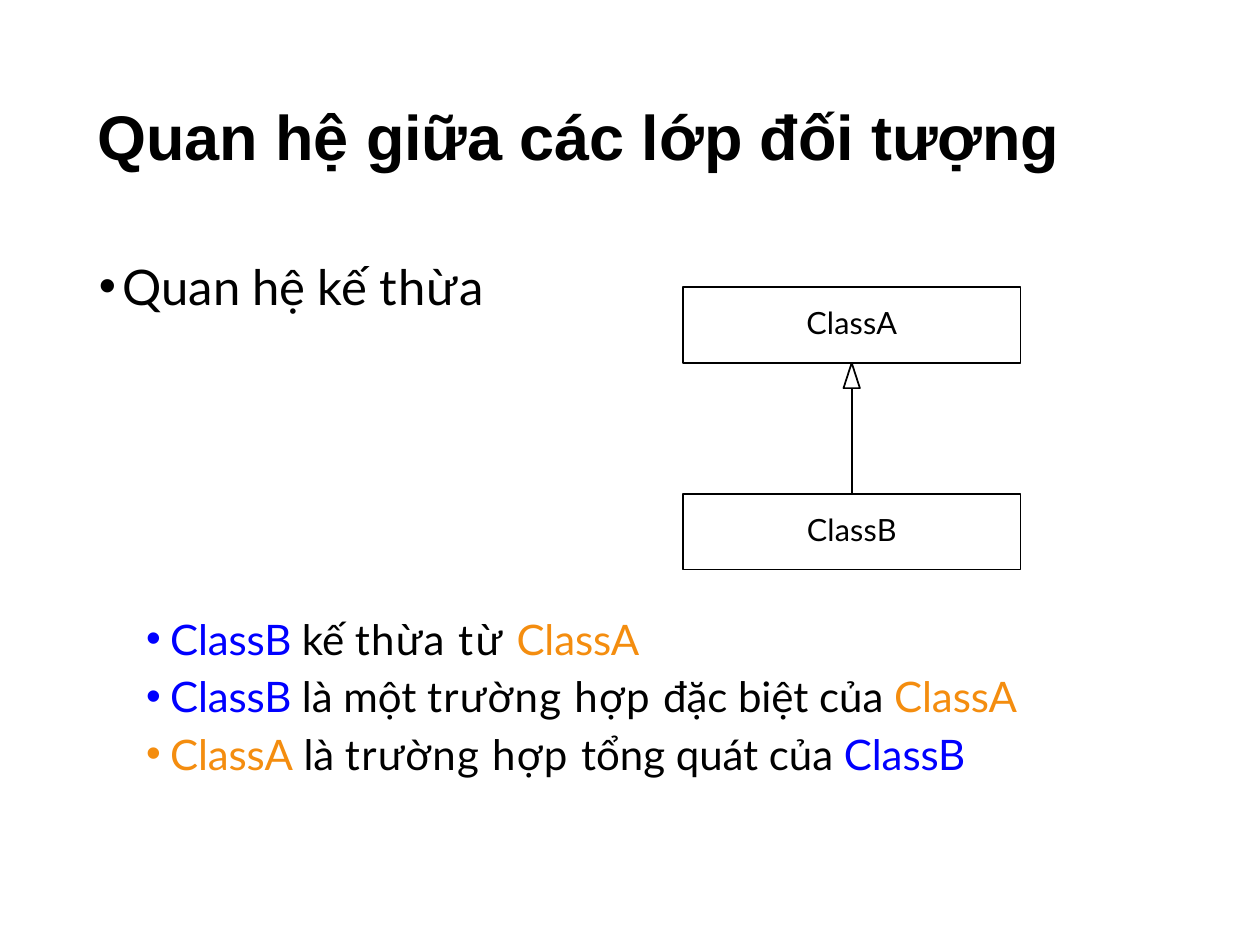
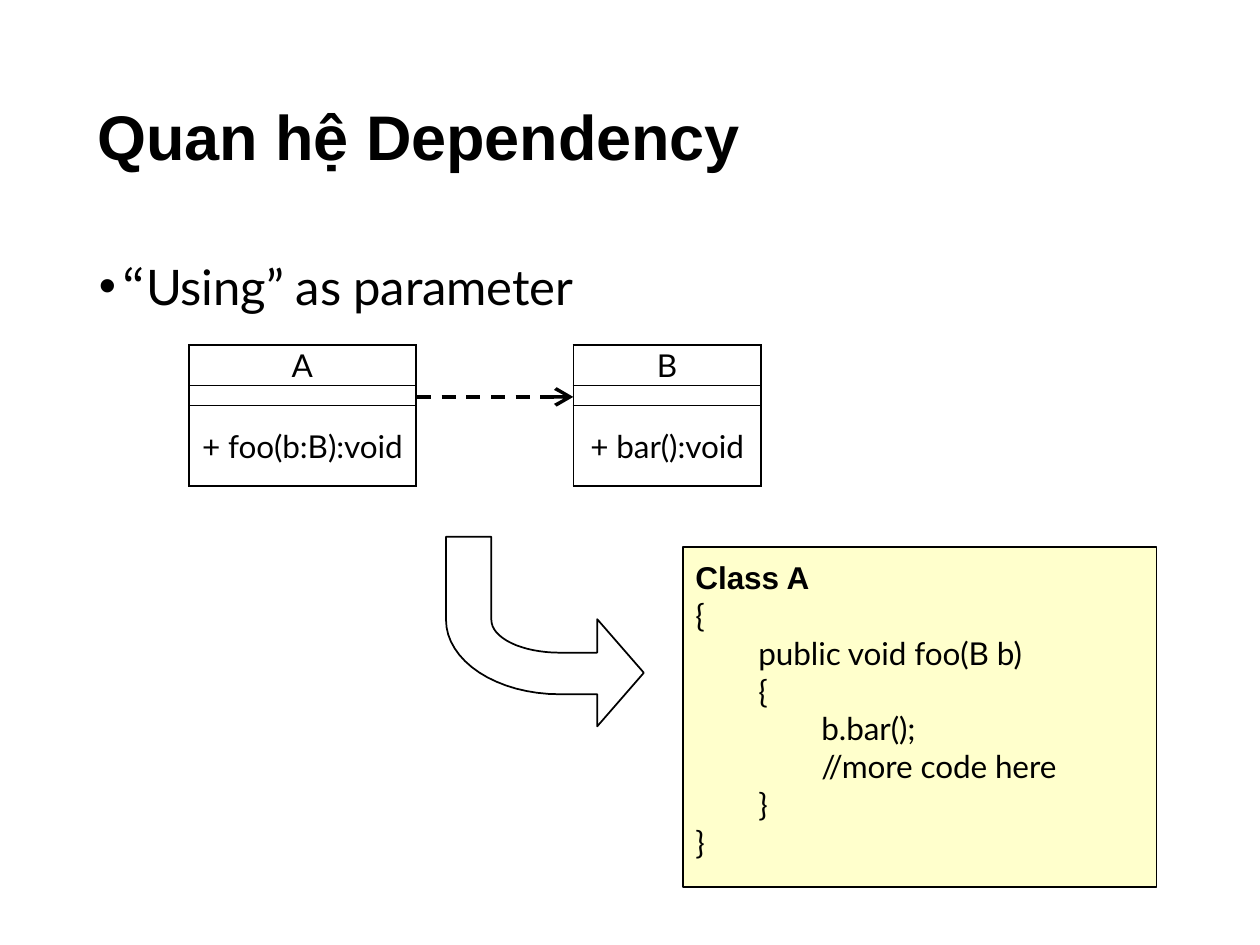
"""Build two slides on class relations: inheritance and dependency."""
from math import cos, pi, sin

from lxml import etree
from pptx import Presentation
from pptx.dml.color import RGBColor
from pptx.enum.dml import MSO_LINE
from pptx.enum.shapes import MSO_CONNECTOR, MSO_SHAPE
from pptx.enum.text import MSO_ANCHOR, MSO_AUTO_SIZE, PP_ALIGN
from pptx.oxml.ns import qn
from pptx.util import Inches, Pt

LEFT, CENTER = PP_ALIGN.LEFT, PP_ALIGN.CENTER
TOP, MIDDLE = MSO_ANCHOR.TOP, MSO_ANCHOR.MIDDLE
RECTANGLE, TRIANGLE = MSO_SHAPE.RECTANGLE, MSO_SHAPE.ISOSCELES_TRIANGLE
STRAIGHT, DASH = MSO_CONNECTOR.STRAIGHT, MSO_LINE.DASH
NO_FIT = MSO_AUTO_SIZE.NONE

COLORS = {"ink": "000000", "child": "0000FF", "parent": "F48D0F", "note": "FFFFCC"}
WIDTH, HEIGHT = Inches(10), Inches(7.5)
MARGIN = 7.75
LINE = Pt(1)


def at(*shares):
    """Turn alternating percentages of slide width and height into lengths."""
    return [int(share * (HEIGHT if place % 2 else WIDTH) / 100)
            for place, share in enumerate(shares)]


def write(frame, spans, size=18, font="Lato", bold=False, align=LEFT, anchor=TOP,
          before=0, indent=0, bullet=False):
    """Add a paragraph of (text, format) spans to a frame."""
    frame.word_wrap = True
    frame.auto_size = NO_FIT
    frame.vertical_anchor = anchor
    frame.margin_left = frame.margin_right = frame.margin_top = frame.margin_bottom = 0
    para = frame.paragraphs[0] if not frame.paragraphs[0].runs else frame.add_paragraph()
    para.alignment = align
    para.space_before = Pt(before)
    properties = para._p.get_or_add_pPr()
    properties.set("marL", str(Inches(0.2 if bullet else indent)))
    properties.set("indent", str(Inches(-0.19 if bullet else 0)))
    if bullet:
        etree.SubElement(properties, qn("a:buFont"), typeface="Arial")
        etree.SubElement(properties, qn("a:buChar"), char="•")
    for text, look in spans:
        span = para.add_run()
        span.text = text
        span.font.size = Pt(size)
        span.font.name = look.get("font", font)
        span.font.bold = bold
        span.font.color.rgb = RGBColor.from_string(COLORS[look.get("color", "ink")])
        span._r.get_or_add_rPr().set("spc", str(look.get("spacing", -5)))


deck = Presentation()
deck.slide_width, deck.slide_height = WIDTH, HEIGHT
outlined, connectors = [], []

WIDE, WIDER = {"spacing": 75}, {"spacing": 140}
EVEN = {"spacing": 0}
CHILD, PARENT = ("ClassB", {"color": "child"}), ("ClassA", {"color": "parent"})

SLIDES = [
    (3, "Quan hệ giữa các lớp đối tượng", 76.9,
     [("Quan hệ kế ", {}), ("thừa", WIDE)], 31.4),
    (1, "Quan hệ Dependency", 51.4,
     [("“", {"font": "Noto Sans CJK JP"}), ("Using” as parameter", {})], 39.4),
]
pages = []
for layout, title, title_width, topic, topic_width in SLIDES:
    page = deck.slides.add_slide(deck.slide_layouts[layout])
    heading, body = page.shapes.title, page.placeholders[1]
    heading.left, heading.top, heading.width, heading.height = at(
        MARGIN, 10.35, title_width, 8.4)
    write(heading.text_frame, [(title, {})], size=36, font="Arial", bold=True, before=1)
    body.left, body.top, body.width, body.height = at(MARGIN, 27.1, topic_width, 6.53)
    write(body.text_frame, topic, size=28, before=1, bullet=True)
    pages.append(page)
inheritance, dependency = pages

facts = inheritance.placeholders[2]
facts.left, facts.top, facts.width, facts.height = at(11.5, 64.9, 71, 18.53)
FACTS = [
    [CHILD, (" kế ", {}), ("thừa ", WIDE), ("từ ", WIDER), PARENT],
    [CHILD, (" là ", {}), ("một ", EVEN), ("trường hợp ", WIDE), ("đặc biệt ", {}),
     ("của ", EVEN), PARENT],
    [PARENT, (" là ", {}), ("trường hợp ", WIDE), ("tổng ", EVEN), ("quát ", {}),
     ("của ", EVEN), CHILD],
]
for fact in FACTS:
    write(facts.text_frame, fact, size=24, before=4, bullet=True)

CLASS_LEFT, CLASS_WIDTH, CLASS_HEIGHT = 54.2, 26.8, 8
PARENT_TOP, CHILD_TOP = 30.4, 52.27
HEAD_WIDTH, HEAD_HEIGHT = 1.3, 2.67
middle = CLASS_LEFT + CLASS_WIDTH / 2
head_top = PARENT_TOP + CLASS_HEIGHT
connectors.append(inheritance.shapes.add_connector(
    STRAIGHT, *at(middle, CHILD_TOP, middle, head_top + HEAD_HEIGHT)))
outlined.append(inheritance.shapes.add_shape(
    TRIANGLE, *at(middle - HEAD_WIDTH / 2, head_top, HEAD_WIDTH, HEAD_HEIGHT)))
for name, top in (("ClassA", PARENT_TOP), ("ClassB", CHILD_TOP)):
    box = inheritance.shapes.add_shape(
        RECTANGLE, *at(CLASS_LEFT, top, CLASS_WIDTH, CLASS_HEIGHT))
    write(box.text_frame, [(name, {"spacing": 10})], size=17.5, align=CENTER, anchor=MIDDLE)
    box.text_frame.margin_bottom = Inches(0.04)
    outlined.append(box)

ROWS = (4.27, 2.13, 8.53)
for name, method, left, width in (("A", "+ foo(b:B):void", 15, 18),
                                  ("B", "+ bar():void", 45.5, 14.9)):
    table = dependency.shapes.add_table(3, 1, *at(left, 36.53, width, sum(ROWS))).table
    table.first_row = table.horz_banding = False
    for row, share, text in zip(table.rows, ROWS, (name, "", method)):
        row.height = at(0, share)[1]
        cell = row.cells[0]
        cell.fill.background()
        cell.margin_left = cell.margin_right = cell.margin_top = cell.margin_bottom = 0
        cell.vertical_anchor = MIDDLE
        if text:
            write(cell.text_frame, [(text, {})], align=CENTER, anchor=MIDDLE)
        else:
            etree.SubElement(cell.text_frame.paragraphs[0]._p, qn("a:endParaRPr"), sz="800")
        for place, side in enumerate(("a:lnL", "a:lnR", "a:lnT", "a:lnB")):
            border = etree.Element(qn(side), w=str(LINE))
            fill = etree.SubElement(border, qn("a:solidFill"))
            etree.SubElement(fill, qn("a:srgbClr"), val=COLORS["ink"])
            cell._tc.get_or_add_tcPr().insert(place, border)

uses = dependency.shapes.add_connector(STRAIGHT, *at(33.1, 42, 45.5, 42))
connectors.append(uses)

code = dependency.shapes.add_shape(RECTANGLE, *at(54.2, 57.87, 37.6, 36))
write(code.text_frame, [("Class A", {})], font="Arial", bold=True, before=6.8, indent=0.1)
CODE = [(0, "{"), (1, "public void foo(B b)"), (1, "{"), (2, "b.bar();"),
        (2, "//more code here"), (1, "}"), (0, "}")]
for depth, text in CODE:
    write(code.text_frame, [(text, {})], indent=0.1 + depth / 2)
code.text_frame.margin_top = Inches(0.09)
outlined.append(code)

BEND_X, BEND_Y, ARROW_TOP = 44.4, 65.6, 56.8
OUTER, INNER = (9, 7.87), (5.4, 3.47)
NECK, TIP, HALF_HEAD = 47.4, (51.1, 71.2), 5.67
STEPS = 16
outer, inner = [[(BEND_X - across * cos(pi / 2 * step / STEPS),
                  BEND_Y + down * sin(pi / 2 * step / STEPS))
                 for step in range(STEPS + 1)] for across, down in (OUTER, INNER)]
outline = [(outer[0][0], ARROW_TOP), *outer, (NECK, outer[-1][1]),
           (NECK, TIP[1] + HALF_HEAD), TIP, (NECK, TIP[1] - HALF_HEAD),
           (NECK, inner[-1][1]), *reversed(inner), (inner[0][0], ARROW_TOP)]
corners = [at(*point) for point in outline]
builder = dependency.shapes.build_freeform(*corners[0])
builder.add_line_segments(corners[1:], close=True)
outlined.append(builder.convert_to_shape())

for shape in outlined:
    shape.shadow.inherit = False
    shape.fill.background()
    shape.line.color.rgb = RGBColor.from_string(COLORS["ink"])
    shape.line.width = LINE
code.fill.solid()
code.fill.fore_color.rgb = RGBColor.from_string(COLORS["note"])

for connector in connectors:
    connector.line.color.rgb = RGBColor.from_string(COLORS["ink"])
    connector.line.width = LINE
    etree.SubElement(connector._element.spPr, qn("a:effectLst"))
uses.line.width = Pt(2)
uses.line.dash_style = DASH
etree.SubElement(uses._element.spPr.find(qn("a:ln")), qn("a:tailEnd"),
                 type="arrow", w="lg", len="lg")

deck.save("out.pptx")
